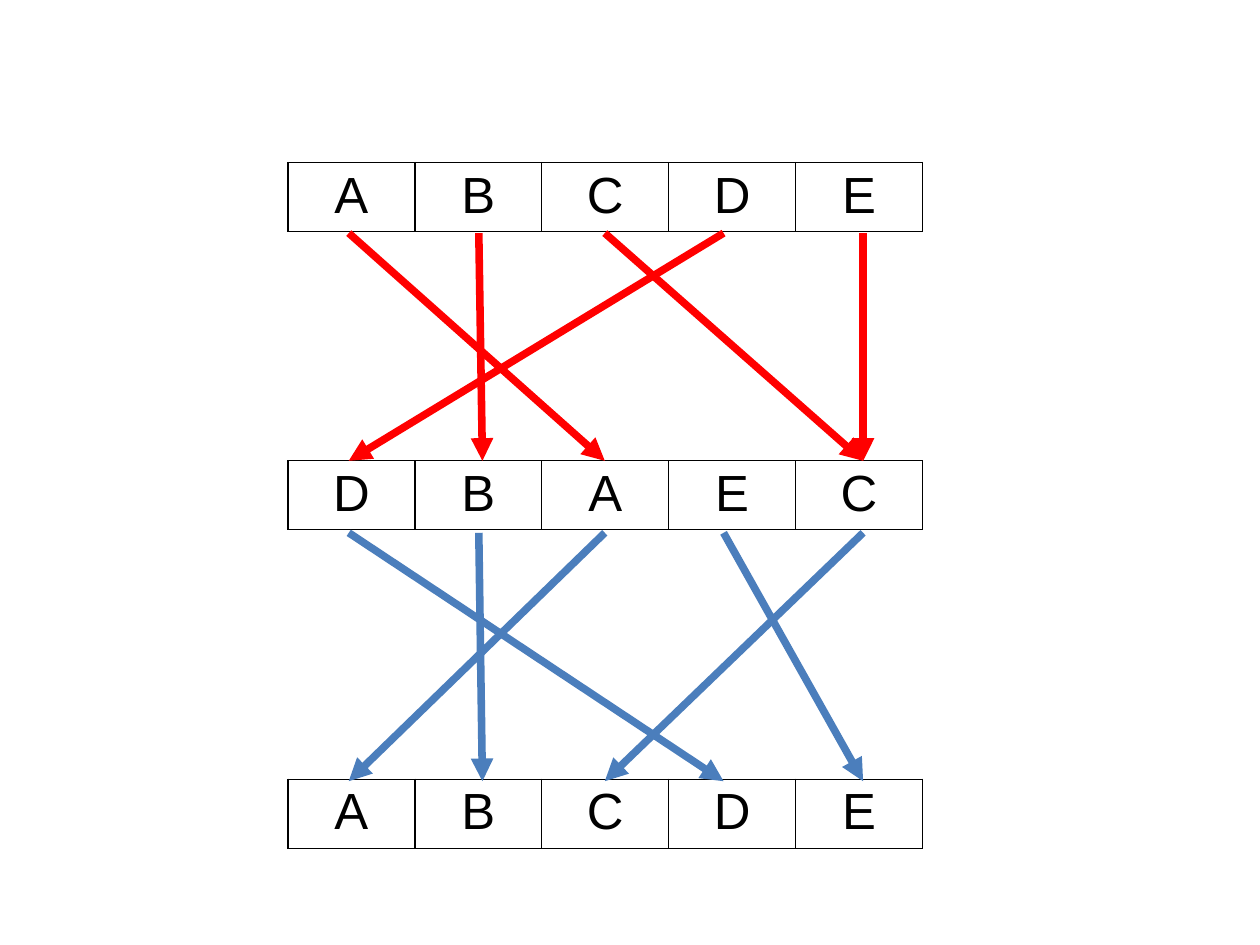
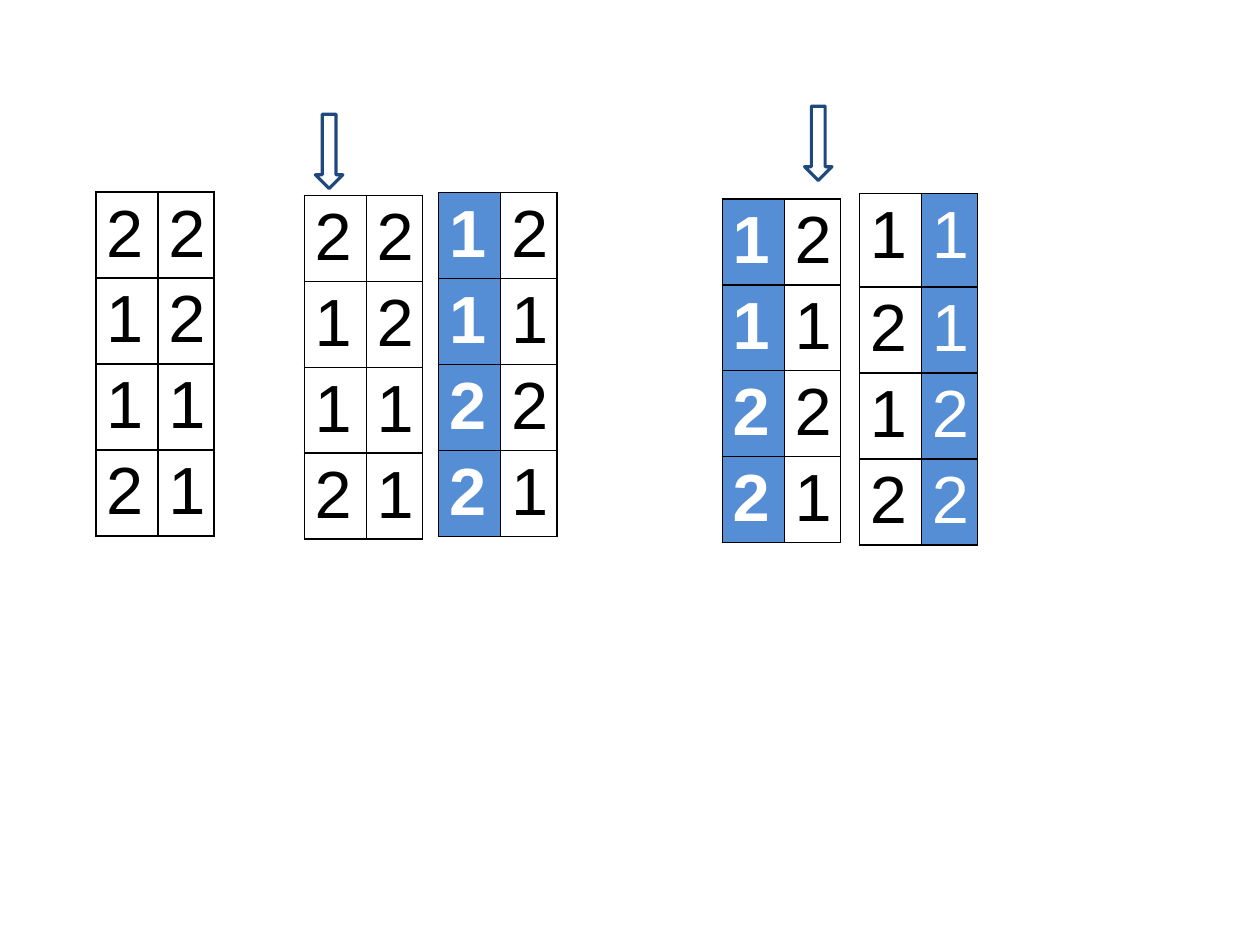
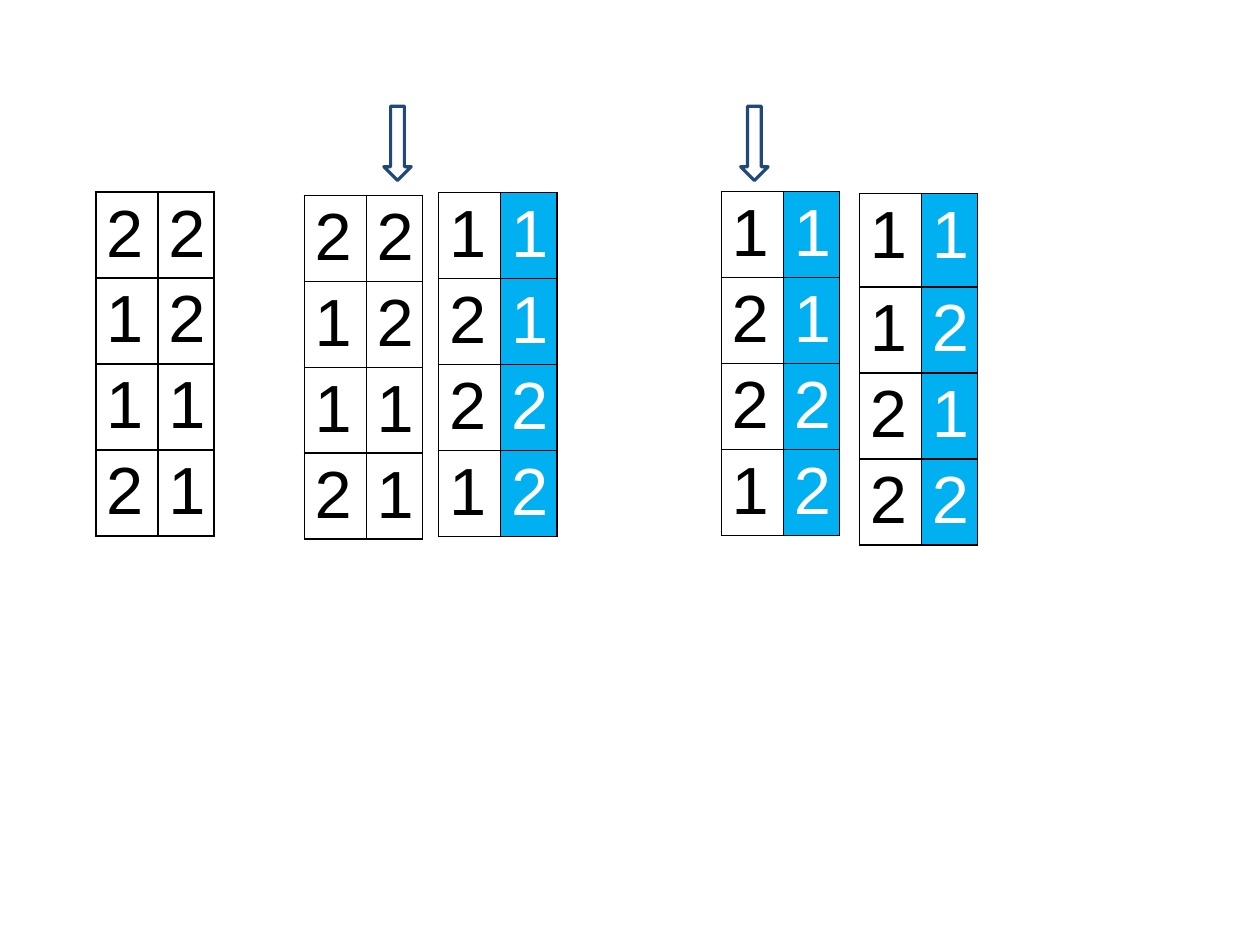
"""Build three slides on sorting: a permutation diagram and two radix sorts."""
from dataclasses import dataclass

import lxml.etree
import pptx
import pptx.dml.color
import pptx.enum.shapes
import pptx.enum.text
import pptx.oxml.ns
import pptx.util

Cm = pptx.util.Cm
Pt = pptx.util.Pt
qn = pptx.oxml.ns.qn


@dataclass(frozen=True)
class Theme:
    """Colours as RRGGBB, sizes in points, cell margins in centimetres."""
    font: str = "Arial"
    black: str = "000000"
    white: str = "FFFFFF"
    red: str = "FF0000"
    blue: str = "4B7EBC"
    navy: str = "1F497D"
    steel: str = "558ED5"
    sky: str = "00B0F0"
    letter_size: int = 32
    digit_size: int = 42
    border_width: float = 1
    pointer_width: float = 2
    link_width: float = 4.75
    side_margin: float = 0.23
    end_margin: float = 0.1


@dataclass(frozen=True)
class Box:
    """A region in centimetres."""
    left: float
    top: float
    width: float
    height: float

    def lengths(self):
        """Return left, top, width and height as lengths."""
        return [Cm(value) for value in (self.left, self.top, self.width, self.height)]


@dataclass(frozen=True)
class Pass:
    """One digit table: its place, numbers, sorted column and its look."""
    left: float
    top: float
    numbers: str
    sorted_column: int | None = None
    bold: bool = False
    first_row: float = 1.91


THEME = Theme()
LETTER_ROW = Box(6.4, 3.61, 14.1, 1.53)
ROW_TOPS = (3.61, 10.24, 17.32)
ROW_TEXTS = ("ABCDE", "DBAEC", "ABCDE")
START_X = (7.75, 10.64, 13.44, 16.08, 19.18)
END_X = (7.75, 10.72, 13.44, 16.08, 19.18)
DIGIT_COLUMNS = (1.38, 1.25)
DIGIT_ROW = 1.91
TALL_ROW = 2.08
POINTER_SIZE = (0.61, 1.65)
INPUT_PASSES = (Pass(2.13, 4.27, "22 12 11 21"), Pass(6.76, 4.34, "22 12 11 21"))


def rgb(colour):
    """Return a colour object for an RRGGBB value."""
    return pptx.dml.color.RGBColor.from_string(colour)


def add_blank_slide(presentation):
    """Add a slide without placeholders."""
    return presentation.slides.add_slide(presentation.slide_layouts[6])


def border_cell(cell):
    """Draw a thin black line on all four sides of a cell."""
    properties = cell._tc.get_or_add_tcPr()
    for side in ("a:lnL", "a:lnR", "a:lnT", "a:lnB"):
        line = lxml.etree.SubElement(properties, qn(side), w=str(Pt(THEME.border_width)))
        fill = lxml.etree.SubElement(line, qn("a:solidFill"))
        lxml.etree.SubElement(fill, qn("a:srgbClr"), val=THEME.black)


def format_cell(cell, text, size, fill=THEME.white, colour=THEME.black,
                bold=False, alignment=pptx.enum.text.PP_ALIGN.LEFT):
    """Write one run in a bordered, filled cell."""
    border_cell(cell)
    cell.fill.solid()
    cell.fill.fore_color.rgb = rgb(fill)
    cell.margin_left = cell.margin_right = Cm(THEME.side_margin)
    cell.margin_top = cell.margin_bottom = Cm(THEME.end_margin)
    paragraph = cell.text_frame.paragraphs[0]
    paragraph.alignment = alignment
    run = paragraph.add_run()
    run.text = text
    run.font.name = THEME.font
    run.font.size = Pt(size)
    run.font.bold = bold
    run.font.color.rgb = rgb(colour)


def add_plain_table(slide, box, rows, columns):
    """Add a table without header or banding."""
    table = slide.shapes.add_table(rows, columns, *box.lengths()).table
    table.first_row = table.horz_banding = False
    return table


def add_letter_row(slide, box, letters):
    """Add one row of equal cells, a centred letter in each."""
    table = add_plain_table(slide, box, 1, len(letters))
    for cell, letter in zip(table.iter_cells(), letters):
        format_cell(cell, letter, THEME.letter_size,
                    alignment=pptx.enum.text.PP_ALIGN.CENTER)


def add_links(slide, top, bottom, targets, colour):
    """Join each position at the top to its target position at the bottom."""
    for start_x, target in zip(START_X, targets):
        connector = slide.shapes.add_connector(
            pptx.enum.shapes.MSO_CONNECTOR.STRAIGHT,
            Cm(start_x), Cm(top), Cm(END_X[target]), Cm(bottom))
        connector.line.color.rgb = rgb(colour)
        connector.line.width = Pt(THEME.link_width)
        properties = connector._element.spPr
        lxml.etree.SubElement(properties.find(qn("a:ln")), qn("a:tailEnd"), type="triangle")
        lxml.etree.SubElement(properties, qn("a:effectLst"))


def add_digit_table(slide, digit_pass, highlight):
    """Add two-digit numbers, one a row, with the sorted column highlighted."""
    numbers = digit_pass.numbers.split()
    heights = [digit_pass.first_row] + [DIGIT_ROW] * (len(numbers) - 1)
    box = Box(digit_pass.left, digit_pass.top, sum(DIGIT_COLUMNS), sum(heights))
    table = add_plain_table(slide, box, len(numbers), len(DIGIT_COLUMNS))
    for column, width in zip(table.columns, DIGIT_COLUMNS):
        column.width = Cm(width)
    for row, height, number in zip(table.rows, heights, numbers):
        row.height = Cm(height)
        for index, (cell, digit) in enumerate(zip(row.cells, number)):
            if index == digit_pass.sorted_column:
                format_cell(cell, digit, THEME.digit_size, highlight,
                            THEME.white, digit_pass.bold)
            else:
                format_cell(cell, digit, THEME.digit_size)


def add_pointer(slide, box):
    """Add an outlined arrow pointing down at a column."""
    shape = slide.shapes.add_shape(pptx.enum.shapes.MSO_SHAPE.DOWN_ARROW, *box.lengths())
    shape.shadow.inherit = False
    shape.fill.solid()
    shape.fill.fore_color.rgb = rgb(THEME.white)
    shape.line.color.rgb = rgb(THEME.navy)
    shape.line.width = Pt(THEME.pointer_width)


def build_permutation_slide(presentation, box):
    """Show letters shuffled and restored, as three rows joined by arrows."""
    slide = add_blank_slide(presentation)
    for top, letters in zip(ROW_TOPS, ROW_TEXTS):
        add_letter_row(slide, Box(box.left, top, box.width, box.height), letters)
    add_links(slide, 11.84, 17.36, (3, 1, 0, 4, 2), THEME.blue)
    add_links(slide, 5.18, 10.24, (2, 1, 4, 0, 4), THEME.red)


def build_radix_slide(presentation, passes, pointers, highlight):
    """Show the input, then each pass of a radix sort with its pointers."""
    slide = add_blank_slide(presentation)
    for digit_pass in INPUT_PASSES + passes:
        add_digit_table(slide, digit_pass, highlight)
    for left, top in pointers:
        add_pointer(slide, Box(left, top, *POINTER_SIZE))


def main():
    """Build and save the presentation."""
    presentation = pptx.Presentation()
    presentation.slide_width = Cm(28)
    presentation.slide_height = Cm(21)
    build_permutation_slide(presentation, LETTER_ROW)
    build_radix_slide(
        presentation,
        (Pass(9.75, 4.28, "12 11 22 21", 0, bold=True),
         Pass(16.05, 4.42, "12 11 22 21", 0, bold=True),
         Pass(19.1, 4.3, "11 21 12 22", 1, first_row=TALL_ROW)),
        ((7.01, 2.54), (17.88, 2.36)), THEME.steel)
    build_radix_slide(
        presentation,
        (Pass(9.75, 4.28, "11 21 22 12", 1),
         Pass(16.03, 4.26, "11 21 22 12", 1),
         Pass(19.1, 4.3, "11 12 21 22", 1, first_row=TALL_ROW)),
        ((8.53, 2.36), (16.46, 2.36)), THEME.sky)
    presentation.save("out.pptx")


main()
